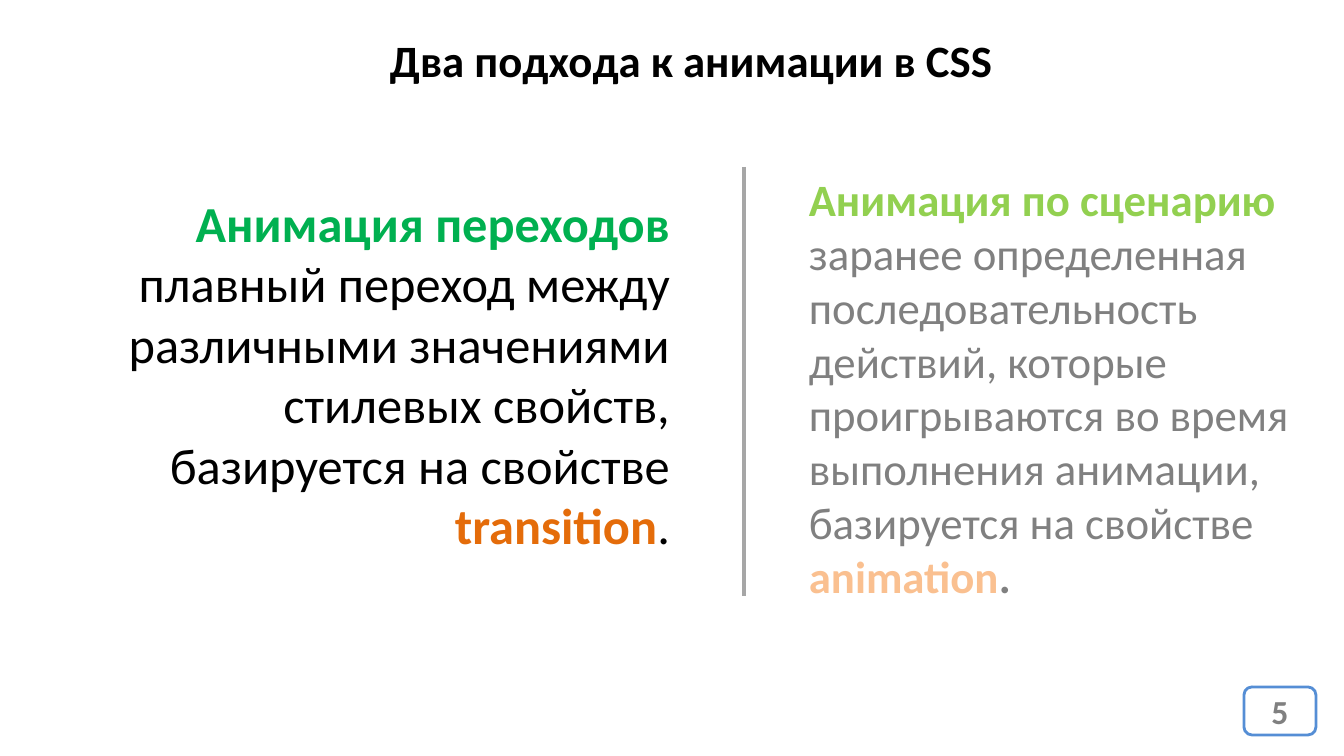
import pptx
import pptx.dml.color
import pptx.enum.shapes
import pptx.enum.text
import pptx.oxml
import pptx.oxml.ns
import pptx.util

PIXEL = 914400 / 100.8
ALIGN = pptx.enum.text.PP_ALIGN


def pixels(*values):
    """Turn pixel lengths into a list of EMU lengths."""
    return [pptx.util.Emu(round(value * PIXEL)) for value in values]


def color(value):
    """Turn a hex string into a colour."""
    return pptx.dml.color.RGBColor.from_string(value)


def write(shape, runs, size, align, **frame_format):
    """Fill a shape with one paragraph of (text, colour, bold) runs."""
    for name, value in frame_format.items():
        setattr(shape.text_frame, name, value)
    paragraph = shape.text_frame.paragraphs[0]
    paragraph.alignment = align
    for text, hex_color, bold in runs:
        run = paragraph.add_run()
        run.text = text
        font_format = {"name": "Calibri", "size": pptx.util.Pt(size), "bold": bold}
        for name, value in font_format.items():
            setattr(run.font, name, value)
        run.font.color.rgb = color(hex_color)


def add_text(slide, box, runs, size, align, wrap=True):
    """Add a text box that grows with its text."""
    shape = slide.shapes.add_textbox(*pixels(*box))
    write(shape, runs, size, align, word_wrap=wrap,
          auto_size=pptx.enum.text.MSO_AUTO_SIZE.SHAPE_TO_FIT_TEXT)


def add_page_badge(slide, box, number):
    """Add the rounded frame with the page number."""
    badge = slide.shapes.add_shape(
        pptx.enum.shapes.MSO_SHAPE.ROUNDED_RECTANGLE, *pixels(*box))
    badge.shadow.inherit = False
    badge.fill.solid()
    badge.fill.fore_color.rgb = color("FFFFFF")
    badge.line.color.rgb = color("558ED5")
    badge.line.width = pptx.util.Pt(2)
    write(badge, [(number, "808080", True)], 24, ALIGN.CENTER,
          vertical_anchor=pptx.enum.text.MSO_ANCHOR.MIDDLE)


def add_divider(slide, box):
    """Add the vertical line between the two approaches."""
    left, top, width, height = box
    divider = slide.shapes.add_connector(
        pptx.enum.shapes.MSO_CONNECTOR.STRAIGHT,
        *pixels(left, top, left + width, top + height))
    divider.line.color.rgb = color("A6A6A6")
    divider.line.width = pptx.util.Pt(2.25)
    properties = divider._element.find(pptx.oxml.ns.qn("p:spPr"))
    properties.append(pptx.oxml.parse_xml(
        "<a:effectLst %s/>" % pptx.oxml.ns.nsdecls("a")))


def build_comparison(slide, box):
    """Build the slide with two approaches on either side of a divider."""
    left, top, width, height = box
    add_page_badge(slide, (left + width - 100, top + height - 69, 72, 48), "5")
    add_text(slide, (left + 378, top + 28, 627, 65),
             [("Два подхода к анимации в CSS", "000000", True)],
             32, ALIGN.CENTER, wrap=False)
    add_text(slide, (left + 799, top + 167, 516, 445), [
        ("Анимация по сценарию ", "92D050", True),
        ("заранее определенная последовательность действий, которые "
         "проигрываются во время выполнения анимации, базируется на свойстве ",
         "808080", False),
        ("animation", "FAC090", True),
        (".", "808080", True),
    ], 32, ALIGN.LEFT)
    add_text(slide, (left + 76, top + 187, 604, 377), [
        ("Анимация переходов", "00B050", True),
        (" плавный переход между различными значениями стилевых свойств, "
         "базируется на свойстве ", "000000", False),
        ("transition", "E46C0A", True),
        (".", "000000", False),
    ], 36, ALIGN.RIGHT)
    add_divider(slide, (left + 744, top + 167, 0, 429))


presentation = pptx.Presentation()
presentation.slide_width, presentation.slide_height = pixels(1344, 756)
build_comparison(presentation.slides.add_slide(presentation.slide_layouts[6]),
                 (0, 0, 1344, 756))
presentation.save("out.pptx")
